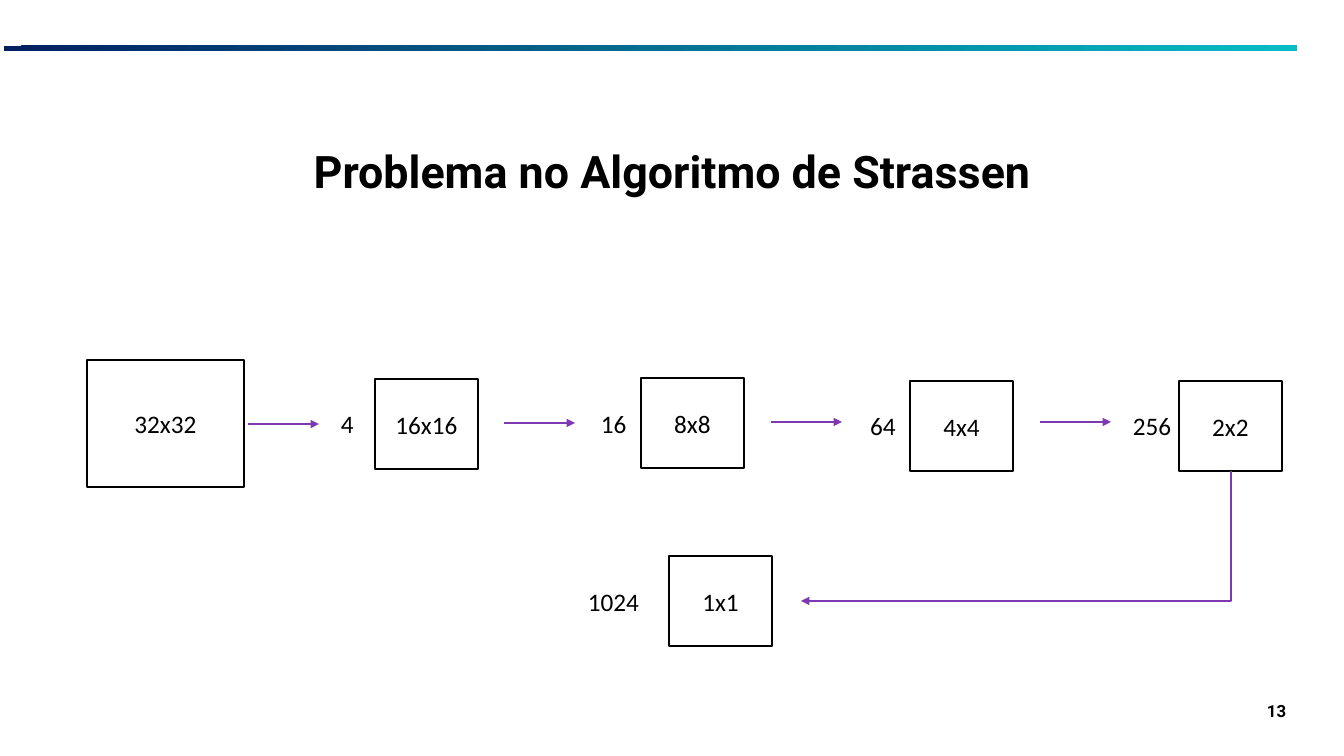
from lxml.etree import SubElement
from pptx import Presentation
from pptx.dml.color import RGBColor
from pptx.enum.shapes import MSO_CONNECTOR, MSO_SHAPE
from pptx.enum.text import MSO_ANCHOR, MSO_AUTO_SIZE, PP_ALIGN
from pptx.oxml.ns import qn
from pptx.util import Pt

PX = 914400 / 100.8
BLACK = RGBColor(0x00, 0x00, 0x00)
WHITE = RGBColor(0xFF, 0xFF, 0xFF)
PURPLE = RGBColor(0x7F, 0x39, 0xB0)
NAVY = RGBColor(0x00, 0x20, 0x60)
TURQUOISE = RGBColor(0x07, 0xBC, 0xC5)


def px(*lengths):
    return [round(length * PX) for length in lengths]


def write(shape, text, size=18, font="Calibri", bold=False, align=PP_ALIGN.CENTER,
          anchor=MSO_ANCHOR.MIDDLE, inset_x=0, inset_y=0, wrap=True, spacing=1.0):
    frame = shape.text_frame
    frame.word_wrap = wrap
    frame.auto_size = MSO_AUTO_SIZE.NONE if wrap else MSO_AUTO_SIZE.SHAPE_TO_FIT_TEXT
    frame.vertical_anchor = anchor
    frame.margin_left = frame.margin_right = px(inset_x)[0]
    frame.margin_top = frame.margin_bottom = px(inset_y)[0]
    para = frame.paragraphs[0]
    para.alignment = align
    para.line_spacing = spacing
    span = para.add_run()
    span.text = text
    span.font.name = font
    span.font.size = Pt(size)
    span.font.bold = bold
    span.font.color.rgb = BLACK


deck = Presentation()
deck.slide_width, deck.slide_height = px(1344, 756)
page = deck.slides.add_slide(deck.slide_layouts[5])
shapes = page.shapes

# Header bar, title and page number
bar = shapes.add_shape(MSO_SHAPE.RECTANGLE, *px(4, 46, 1293, 5))
bar.shadow.inherit = False
bar.line.fill.background()
bar.fill.gradient()
bar.fill.gradient_angle = 315
for stop, color, position in zip(bar.fill.gradient_stops, (NAVY, TURQUOISE), (0, 1)):
    stop.color.rgb = color
    stop.position = position

title = shapes.title
title.left, title.top, title.width, title.height = px(198, 146, 949, 55)
write(title, "Problema no Algoritmo de Strassen", size=32, font="Roboto", bold=True,
      inset_y=5, spacing=0.9)

LABEL = dict(align=PP_ALIGN.LEFT, anchor=MSO_ANCHOR.TOP, inset_x=10, inset_y=5, wrap=False)
number = shapes.add_textbox(*px(1257, 696, 40, 30))
write(number, "13", size=12, font="Roboto", bold=True, **LABEL)

# Matrices
SMALL = (103, 90)
matrices = [
    ("32x32", 87, 360, (157, 127)),
    ("16x16", 375, 379, SMALL),
    ("8x8", 641, 378, SMALL),
    ("4x4", 910, 381, SMALL),
    ("2x2", 1179, 381, SMALL),
    ("1x1", 669, 556, SMALL),
]
for name, left, top, size in matrices:
    box = shapes.add_shape(MSO_SHAPE.RECTANGLE, *px(left, top, *size))
    box.shadow.inherit = False
    box.fill.solid()
    box.fill.fore_color.rgb = WHITE
    box.line.color.rgb = BLACK
    box.line.width = Pt(1)
    write(box, name)

# Number of products at each level
counts = [("4", 331, 403, 33), ("16", 591, 403, 46), ("64", 860, 405, 46),
          ("256", 1123, 405, 59), ("1024", 578, 581, 72)]
for count, left, top, width in counts:
    write(shapes.add_textbox(*px(left, top, width, 40)), count, **LABEL)

# Arrows between levels
ARROW_LENGTH = 71
arrows = [shapes.add_connector(MSO_CONNECTOR.STRAIGHT, *px(left, y, left + ARROW_LENGTH, y))
          for left, y in ((248, 424), (504, 423), (771, 422), (1040, 422))]

# The elbow turns once: its frame is 130 x 430, rotated a quarter turn about its centre
elbow = shapes.add_connector(MSO_CONNECTOR.ELBOW, *px(951, 321, 1081, 751))
elbow_properties = elbow.element.spPr
elbow_properties.find(qn("a:xfrm")).set("rot", "5400000")
elbow_properties.find(qn("a:prstGeom")).set("prst", "bentConnector2")

for arrow in arrows + [elbow]:
    arrow.line.color.rgb = PURPLE
    arrow.line.width = Pt(2)
    SubElement(arrow.line._get_or_add_ln(), qn("a:tailEnd"), type="triangle")
    SubElement(arrow.element.spPr, qn("a:effectLst"))

deck.save("out.pptx")
